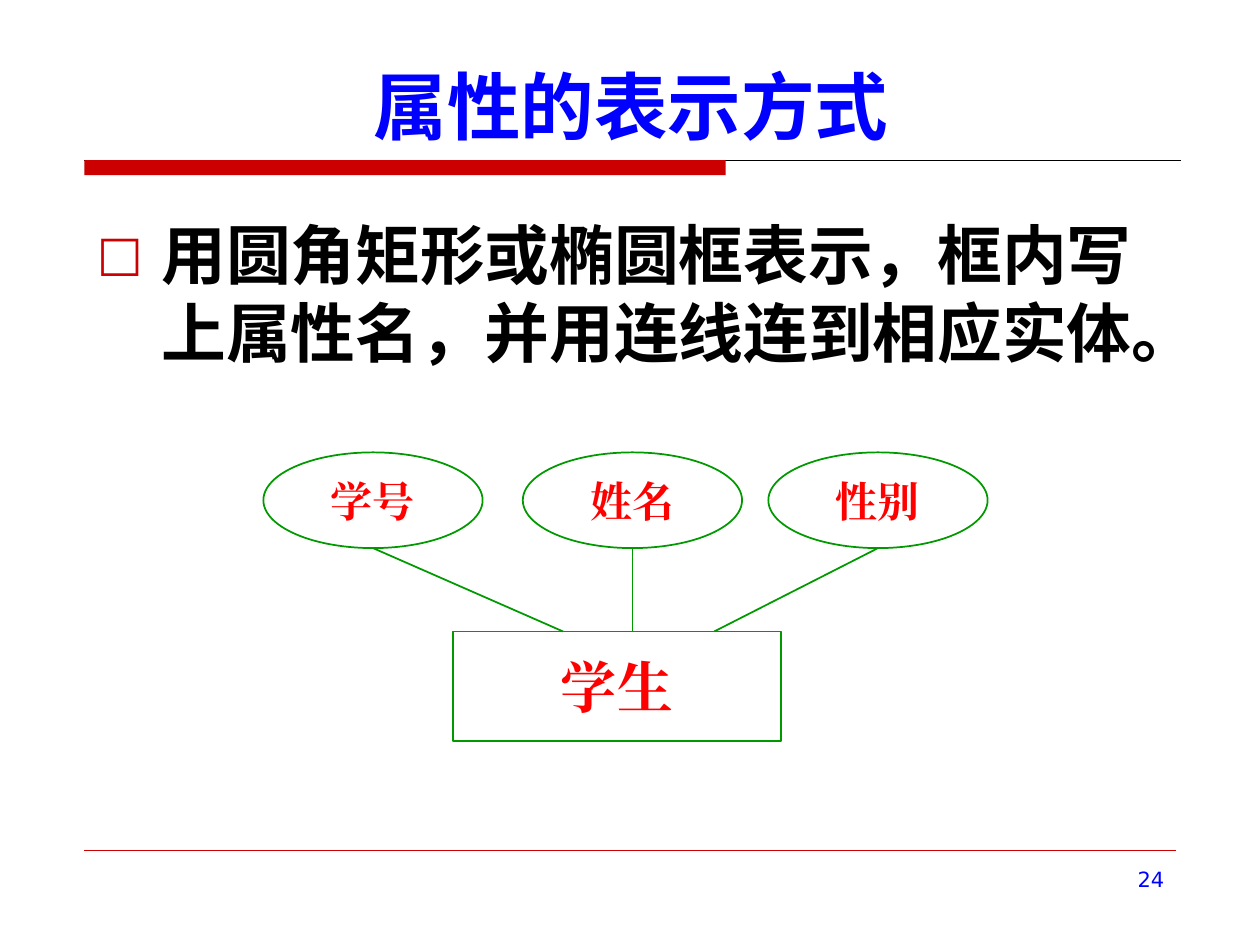
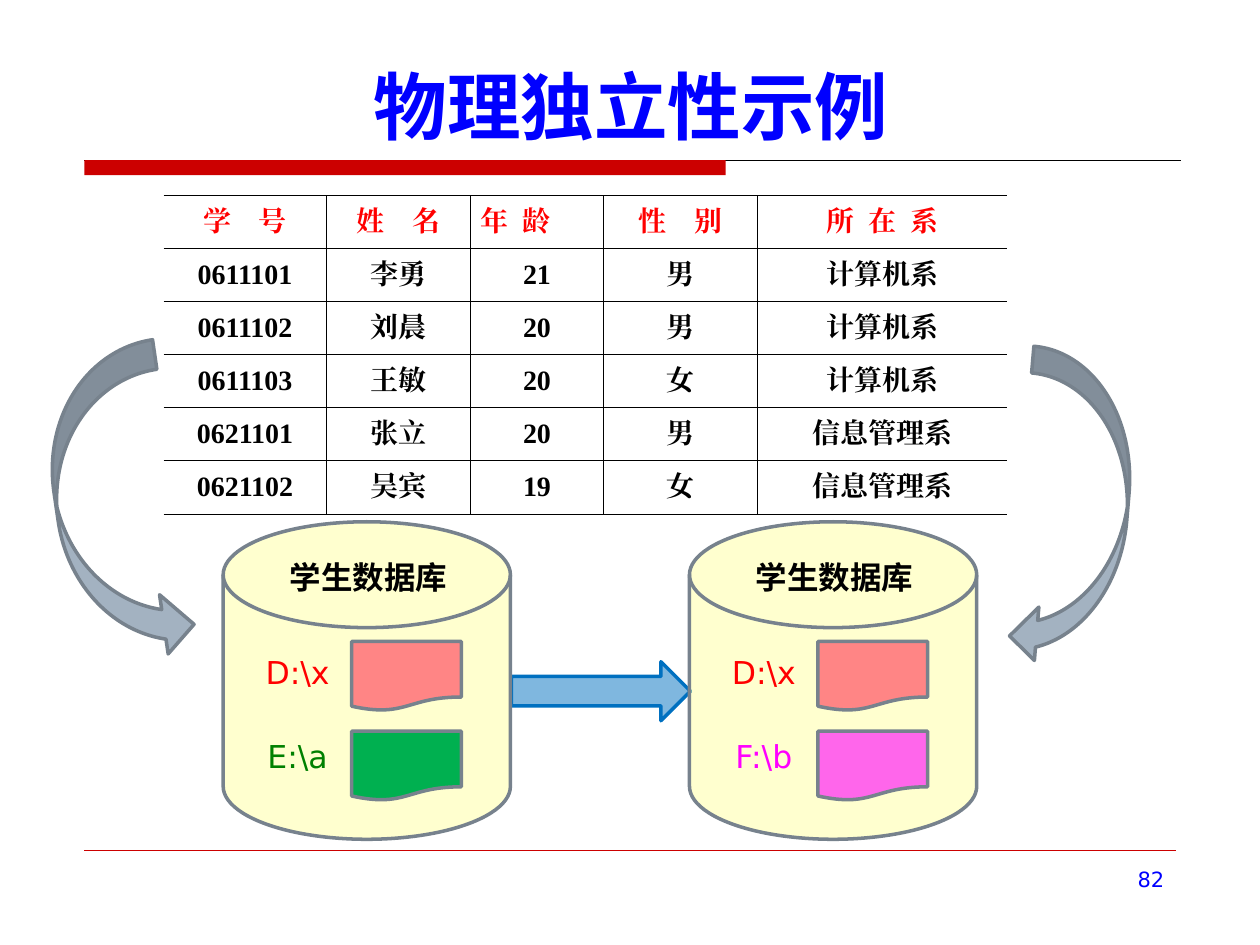
from dataclasses import dataclass

from lxml.etree import SubElement
from pptx import Presentation
from pptx.dml.color import RGBColor
from pptx.enum.shapes import MSO_CONNECTOR, MSO_SHAPE
from pptx.enum.text import MSO_ANCHOR, MSO_AUTO_SIZE, PP_ALIGN
from pptx.oxml.ns import qn
from pptx.util import Cm, Pt


@dataclass(frozen=True)
class Theme:
    heading_font: str = "Noto Sans CJK SC"
    label_font: str = "Times New Roman"
    plain_font: str = "DejaVu Sans"
    title_size: float = 42
    body_size: float = 37
    body_leading: float = 44.4
    entity_size: float = 32
    attribute_size: float = 24
    database_size: float = 18
    table_size: float = 16
    number_size: float = 12
    blue: str = "0000FF"
    black: str = "000000"
    red: str = "FF0000"
    band: str = "CC0000"
    diagram: str = "009900"
    outline: str = "77828D"
    curve: str = "A3B2C1"
    migration: str = "0070C0"
    cylinder: str = "FFFF00"
    salmon: str = "FF8585"
    green: str = "00B050"
    dark_green: str = "008000"
    magenta: str = "FF00FF"


THEME = Theme()


# Shared helpers
def box_cm(*lengths):
    return [Cm(length) for length in lengths]


def write_text(frame, text, *, size, color, font, bold=False, align=PP_ALIGN.CENTER,
               anchor=MSO_ANCHOR.MIDDLE, wrap=True, tracking=0):
    """Fill the frame with one formatted paragraph and return it."""
    frame.word_wrap = wrap
    frame.vertical_anchor = anchor
    paragraph = frame.paragraphs[0]
    paragraph.alignment = align
    run = paragraph.add_run()
    run.text = text
    run.font.size = Pt(size)
    run.font.bold = bold
    run.font.name = font
    run.font.color.rgb = RGBColor.from_string(color)
    properties = run._r.get_or_add_rPr()
    SubElement(properties, qn("a:ea")).set("typeface", font)
    if tracking:
        properties.set("spc", str(tracking * 100))
    return paragraph


def add_label(slide, box, text, **text_format):
    label = slide.shapes.add_textbox(*box_cm(*box))
    write_text(label.text_frame, text, **text_format)


def add_figure(slide, preset, box, fill=None, opacity=100, line=None, weight=2, rotation=0):
    figure = slide.shapes.add_shape(preset, *box_cm(*box))
    figure.shadow.inherit = False
    figure.rotation = rotation
    if fill:
        figure.fill.solid()
        figure.fill.fore_color.rgb = RGBColor.from_string(fill)
        if opacity < 100:
            tint = figure.element.spPr.find(qn("a:solidFill"))[0]
            SubElement(tint, qn("a:alpha")).set("val", str(opacity * 1000))
    else:
        figure.fill.background()
    if line:
        figure.line.color.rgb = RGBColor.from_string(line)
        figure.line.width = Pt(weight)
    else:
        figure.line.fill.background()
    return figure


def add_rule(slide, start, end, color, weight):
    rule = slide.shapes.add_connector(MSO_CONNECTOR.STRAIGHT, *box_cm(*start, *end))
    rule.line.color.rgb = RGBColor.from_string(color)
    rule.line.width = Pt(weight)
    SubElement(rule.element.spPr, qn("a:effectLst"))
    return rule


# Title band and footer line, kept on the master
def decorate_master(deck, slide):
    left, band_top, footer_top = 1.7, 3.23, 17.15
    decorations = (
        add_rule(slide, (left, band_top), (23.8, band_top), THEME.black, 0.75),
        add_figure(slide, MSO_SHAPE.RECTANGLE, (left, band_top, 12.93, 0.3), THEME.band),
        add_rule(slide, (left, footer_top), (23.7, footer_top), THEME.band, 0.25),
    )
    master_tree = deck.slide_master.shapes.element
    for number, decoration in enumerate(decorations, start=101):
        decoration.element.xpath(".//p:cNvPr")[0].set("id", str(number))
        master_tree.append(decoration.element)


def place(placeholder, box):
    placeholder.left, placeholder.top, placeholder.width, placeholder.height = box_cm(*box)
    placeholder.text_frame.auto_size = MSO_AUTO_SIZE.NONE
    return placeholder.text_frame


def add_page(deck, layout_name, title, number):
    slide = deck.slides.add_slide(deck.slide_layouts.get_by_name(layout_name))
    write_text(place(slide.shapes.title, (1.6, 0.84, 22.23, 2.29)), title,
               size=THEME.title_size, color=THEME.blue, font=THEME.heading_font,
               bold=True, anchor=MSO_ANCHOR.BOTTOM)
    add_label(slide, (18.21, 17.35, 5.51, 1.32), number, size=THEME.number_size,
              color=THEME.blue, font=THEME.plain_font, align=PP_ALIGN.RIGHT,
              anchor=MSO_ANCHOR.TOP)
    return slide


# Bulleted statement
def fill_body(slide, box, statement):
    paragraph = write_text(place(slide.placeholders[1], box), statement,
                           size=THEME.body_size, color=THEME.black,
                           font=THEME.heading_font, bold=True,
                           align=PP_ALIGN.LEFT, anchor=MSO_ANCHOR.TOP)
    properties = paragraph._p.get_or_add_pPr()
    indent = Cm(1.3)
    properties.set("marL", str(indent))
    properties.set("indent", str(-indent))
    bullet_color = SubElement(properties, qn("a:buClr"))
    SubElement(bullet_color, qn("a:srgbClr")).set("val", THEME.band)
    SubElement(properties, qn("a:buSzPct")).set("val", "75000")
    SubElement(properties, qn("a:buFont")).set("typeface", THEME.plain_font)
    SubElement(properties, qn("a:buChar")).set("char", "□")
    paragraph.space_before = Pt(0)
    paragraph.line_spacing = Pt(THEME.body_leading)


# Entity with its attributes
def draw_entity_diagram(slide, left, top):
    oval_width, oval_height, entity_top = 4.42, 1.93, 3.61

    def add_node(preset, box, text, size):
        node = add_figure(slide, preset, box, line=THEME.diagram, weight=1)
        write_text(node.text_frame, text, size=size, color=THEME.red,
                   font=THEME.label_font, bold=True, wrap=False)

    add_node(MSO_SHAPE.RECTANGLE, (left + 3.83, top + entity_top, 6.6, 2.21),
             "学生", THEME.entity_size)
    for attribute, offset, joint in (("学号", 0, 6.04), ("姓名", 5.23, 7.44), ("性别", 10.18, 9.09)):
        add_node(MSO_SHAPE.OVAL, (left + offset, top, oval_width, oval_height),
                 attribute, THEME.attribute_size)
        add_rule(slide, (left + offset + oval_width / 2, top + oval_height),
                 (left + joint, top + entity_top), THEME.diagram, 1)


# Student table, open at its left and right edges
def set_borders(cell, is_first, is_last):
    properties = cell._tc.get_or_add_tcPr()
    for side, hidden in (("L", is_first), ("R", is_last), ("T", False), ("B", False)):
        border = SubElement(properties, qn(f"a:ln{side}"))
        border.set("w", str(Pt(0.45)))
        if hidden:
            SubElement(border, qn("a:noFill"))
        else:
            ink = SubElement(border, qn("a:solidFill"))
            SubElement(ink, qn("a:srgbClr")).set("val", THEME.black)


def draw_student_table(slide, left, top):
    header = ("学 号", "姓 名", "年 龄", "性 别", "所 在 系")
    header_tracking = (6, 6, 2, 6, 2)
    students = (
        ("0611101", "李勇", "21", "男", "计算机系"),
        ("0611102", "刘晨", "20", "男", "计算机系"),
        ("0611103", "王敏", "20", "女", "计算机系"),
        ("0621101", "张立", "20", "男", "信息管理系"),
        ("0621102", "吴宾", "19", "女", "信息管理系"),
    )
    widths, row_height = (3.28, 2.9, 2.69, 3.1, 5.03), 1.07
    rows = (header, *students)
    table = slide.shapes.add_table(
        len(rows), len(widths),
        *box_cm(left, top, sum(widths), row_height * len(rows))).table
    table.first_row = table.horz_banding = False
    for column, width in zip(table.columns, widths):
        column.width = Cm(width)
    for row_index, row in enumerate(rows):
        table.rows[row_index].height = Cm(row_height)
        is_header = row_index == 0
        for column_index, value in enumerate(row):
            cell = table.cell(row_index, column_index)
            set_borders(cell, column_index == 0, column_index == len(widths) - 1)
            cell.fill.background()
            cell.vertical_anchor = MSO_ANCHOR.MIDDLE
            cell.margin_left = cell.margin_right = Cm(0.2)
            cell.margin_top = cell.margin_bottom = Cm(0.13)
            paragraph = write_text(
                cell.text_frame, value, size=THEME.table_size, font=THEME.label_font,
                color=THEME.red if is_header else THEME.black, bold=True,
                align=PP_ALIGN.LEFT if is_header and column_index == 2 else PP_ALIGN.CENTER,
                tracking=header_tracking[column_index] if is_header else 0)
            paragraph.space_before = paragraph.space_after = Pt(2.4)


# Database cylinder holding two files
def draw_database(slide, left, top, files):
    add_figure(slide, MSO_SHAPE.FLOWCHART_MAGNETIC_DISK, (left, top, 5.79, 6.4),
               THEME.cylinder, opacity=19, line=THEME.outline)
    add_label(slide, (left + 0.93, top + 0.41, 3.99, 1.4), "学生数据库",
              size=THEME.database_size, color=THEME.black, font=THEME.heading_font, bold=True)
    offsets = ((2.41, 2.54), (4.22, 4.22))
    for (file_top, label_top), (location, ink, fill, opacity) in zip(offsets, files):
        add_figure(slide, MSO_SHAPE.FLOWCHART_DOCUMENT,
                   (left + 2.59, top + file_top, 2.21, 1.4),
                   fill, opacity=opacity, line=THEME.outline)
        add_label(slide, (left + 0.41, top + label_top, 2.18, 0.99), location,
                  size=THEME.database_size, color=ink, font=THEME.plain_font)


# Storage change from one database to the other
def draw_migration(slide, left, top):
    add_figure(slide, MSO_SHAPE.RIGHT_ARROW, (left + 5.81, top + 2.82, 3.61, 1.19),
               THEME.migration, opacity=50, line=THEME.migration)
    kept_file = ("D:\\x", THEME.red, THEME.salmon, 100)
    old_file = ("E:\\a", THEME.dark_green, THEME.green, 100)
    new_file = ("F:\\b", THEME.magenta, THEME.magenta, 60)
    draw_database(slide, left, top, (kept_file, old_file))
    draw_database(slide, left + 9.4, top, (kept_file, new_file))
    for preset, box, rotation in (
        (MSO_SHAPE.CURVED_RIGHT_ARROW, (left - 3.36, top - 3.53, 2.41, 6.4), -8.3),
        (MSO_SHAPE.CURVED_LEFT_ARROW, (left + 16.07, top - 3.46, 2.16, 6.4), 4.8),
    ):
        add_figure(slide, preset, box, THEME.curve, line=THEME.outline, rotation=rotation)


def main():
    deck = Presentation()
    deck.slide_width, deck.slide_height = Cm(25.4), Cm(19.05)

    attributes = add_page(deck, "Title and Content", "属性的表示方式", "24")
    decorate_master(deck, attributes)
    fill_body(attributes, (1.7, 4.2, 22, 5.2),
              "用圆角矩形或椭圆框表示，框内写上属性名，并用连线连到相应实体。")
    draw_entity_diagram(attributes, 5.31, 9.12)

    independence = add_page(deck, "Title Only", "物理独立性示例", "82")
    draw_student_table(independence, 3.3, 3.94)
    draw_migration(independence, 4.5, 10.52)

    deck.save("out.pptx")


if __name__ == "__main__":
    main()
